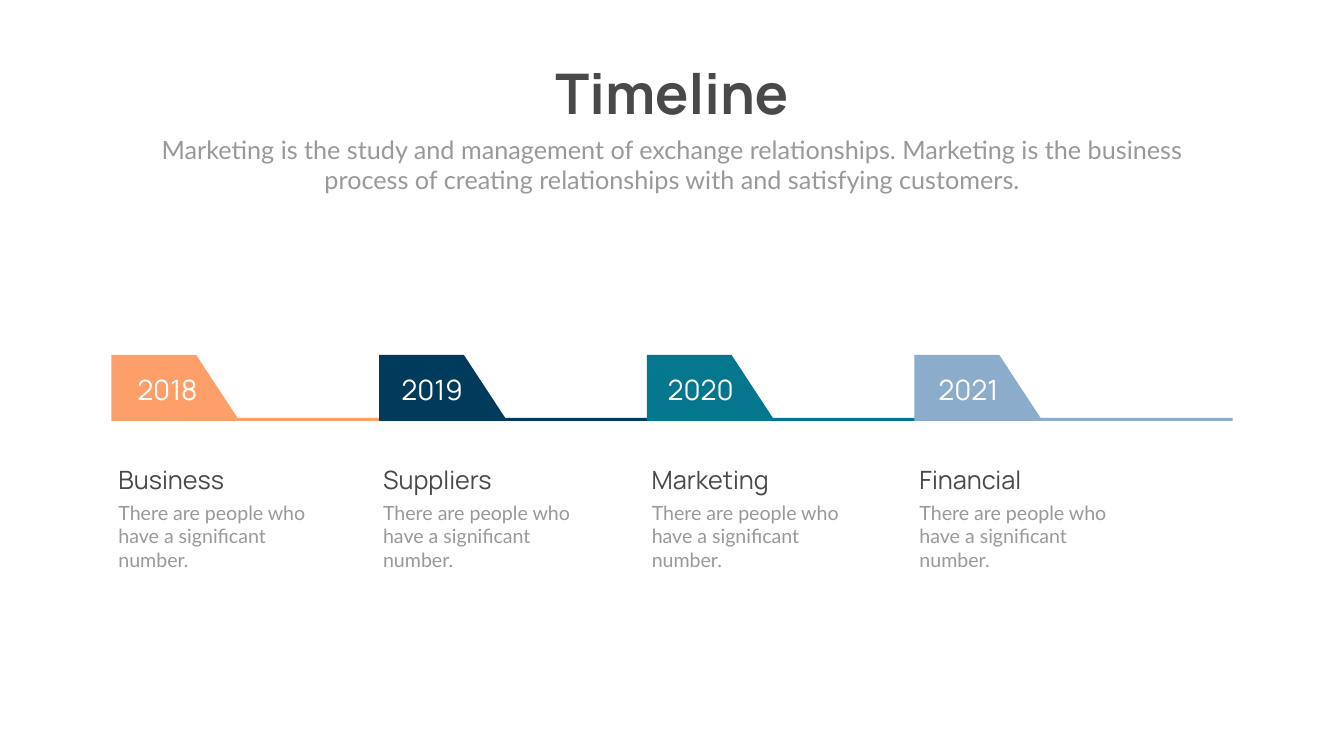
from pptx import Presentation
from pptx.dml.color import RGBColor
from pptx.enum.text import MSO_AUTO_SIZE as AUTO_SIZE, PP_ALIGN as ALIGN
from pptx.util import Pt

PX = 9144  # EMU per px, 100 px to the inch
COLORS = {
    "heading": "494949",
    "body": "999999",
    "year": "FFFFFF",
    "orange": "FE9F6A",
    "navy": "003B5B",
    "teal": "04768D",
    "sky": "8CACCC",
}

prs = Presentation()
prs.slide_width, prs.slide_height = 2666 * PX, 1500 * PX
slide = prs.slides.add_slide(prs.slide_layouts[6])


def add_text(text, box, size, font_name, color, align=ALIGN.LEFT, bold=False, wrap=True):
    """Add a one-paragraph text box; box is left, top, width, height in px."""
    frame = slide.shapes.add_textbox(*(value * PX for value in box)).text_frame
    frame.word_wrap = wrap
    frame.auto_size = AUTO_SIZE.SHAPE_TO_FIT_TEXT
    frame.text = text
    paragraph = frame.paragraphs[0]
    paragraph.alignment = align
    font = paragraph.runs[0].font
    font.size, font.name, font.bold = Pt(size), font_name, bold
    font.color.rgb = RGBColor.from_string(COLORS[color])


add_text("Timeline", (1074, 112, 518, 145), 80, "Manrope", "heading",
         ALIGN.CENTER, bold=True, wrap=False)
add_text("Marketing is the study and management of exchange relationships. "
         "Marketing is the business process of creating relationships with "
         "and satisfying customers.",
         (292, 261, 2082, 131), 36, "Lato", "body", ALIGN.CENTER)

# Year, topic, colour, left edge of the texts
stages = [
    ("2018", "Business", "orange", 225),
    ("2019", "Suppliers", "navy", 750),
    ("2020", "Marketing", "teal", 1283),
    ("2021", "Financial", "sky", 1814),
]
FIRST_FLAG, FLAG_TOP, STAGE_STEP = 221, 704, 531
FLAG_OUTLINE = [(168, 0), (0, 0), (0, 131), (631, 131), (631, 125), (250, 125)]

for index, (year, topic, color, text_left) in enumerate(stages):
    flag_left = FIRST_FLAG + index * STAGE_STEP
    corners = [(flag_left + x, FLAG_TOP + y) for x, y in FLAG_OUTLINE]
    builder = slide.shapes.build_freeform(*corners[0], scale=PX)
    builder.add_line_segments(corners[1:], close=True)
    flag = builder.convert_to_shape()
    flag.shadow.inherit = False
    flag.fill.solid()
    flag.fill.fore_color.rgb = RGBColor.from_string(COLORS[color])
    flag.line.fill.background()

    add_text(year, (text_left, 735, 214, 77), 40, "Manrope", "year", ALIGN.CENTER)
    add_text(topic, (text_left, 917, 364, 71), 36, "Manrope", "heading")
    add_text("There are people who have a significant number.",
             (text_left, 988, 449, 151), 28, "Lato", "body")

prs.save("out.pptx")
